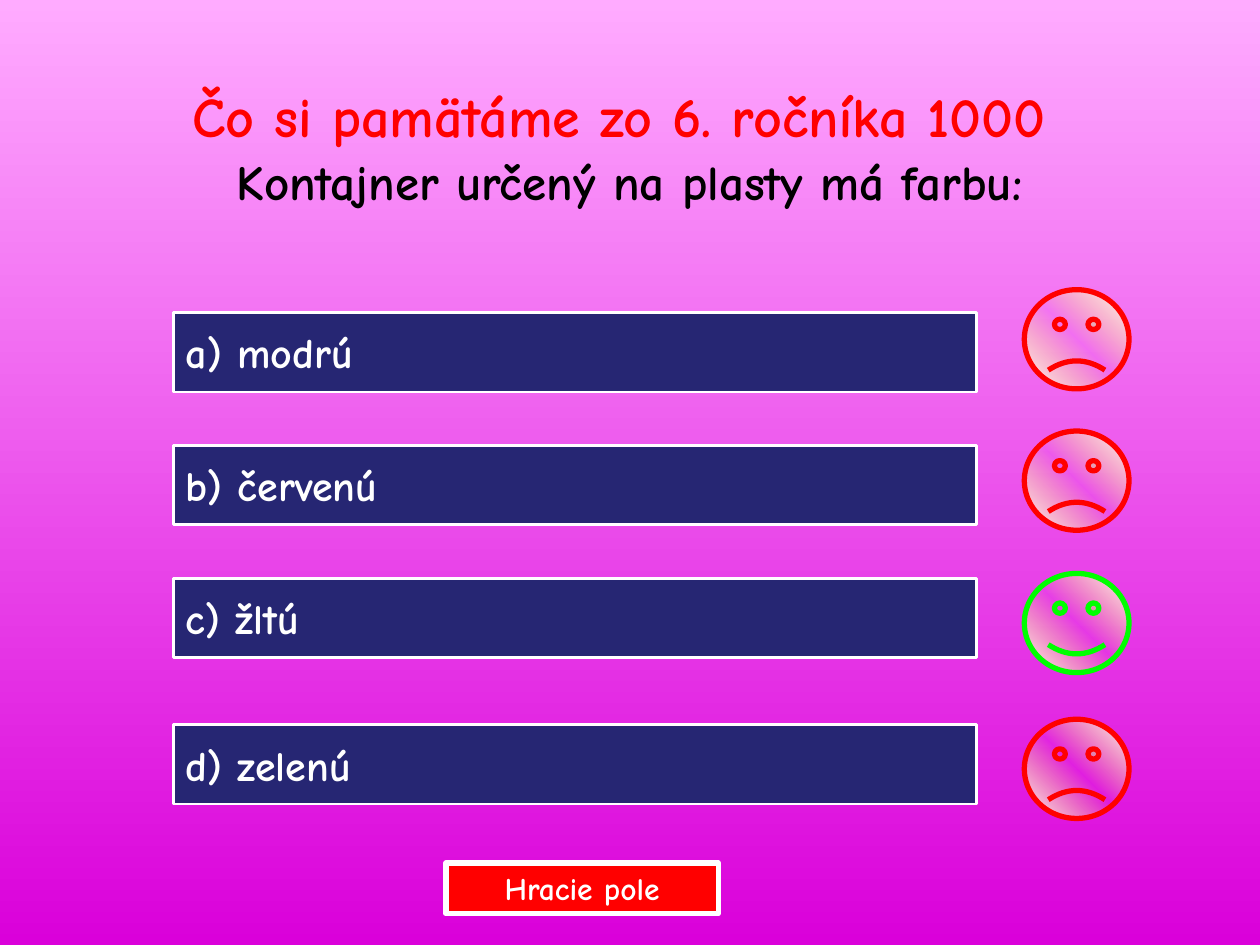
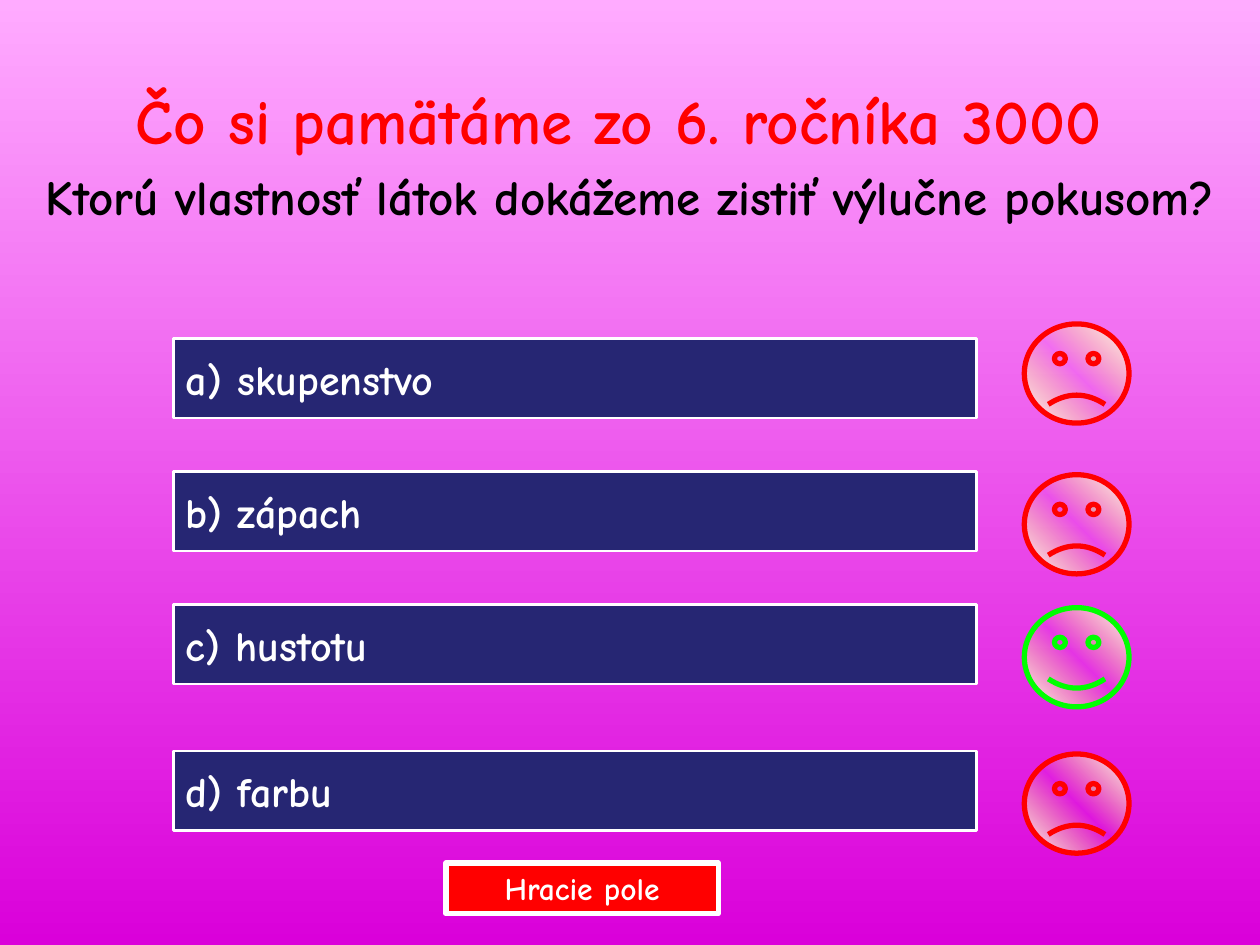
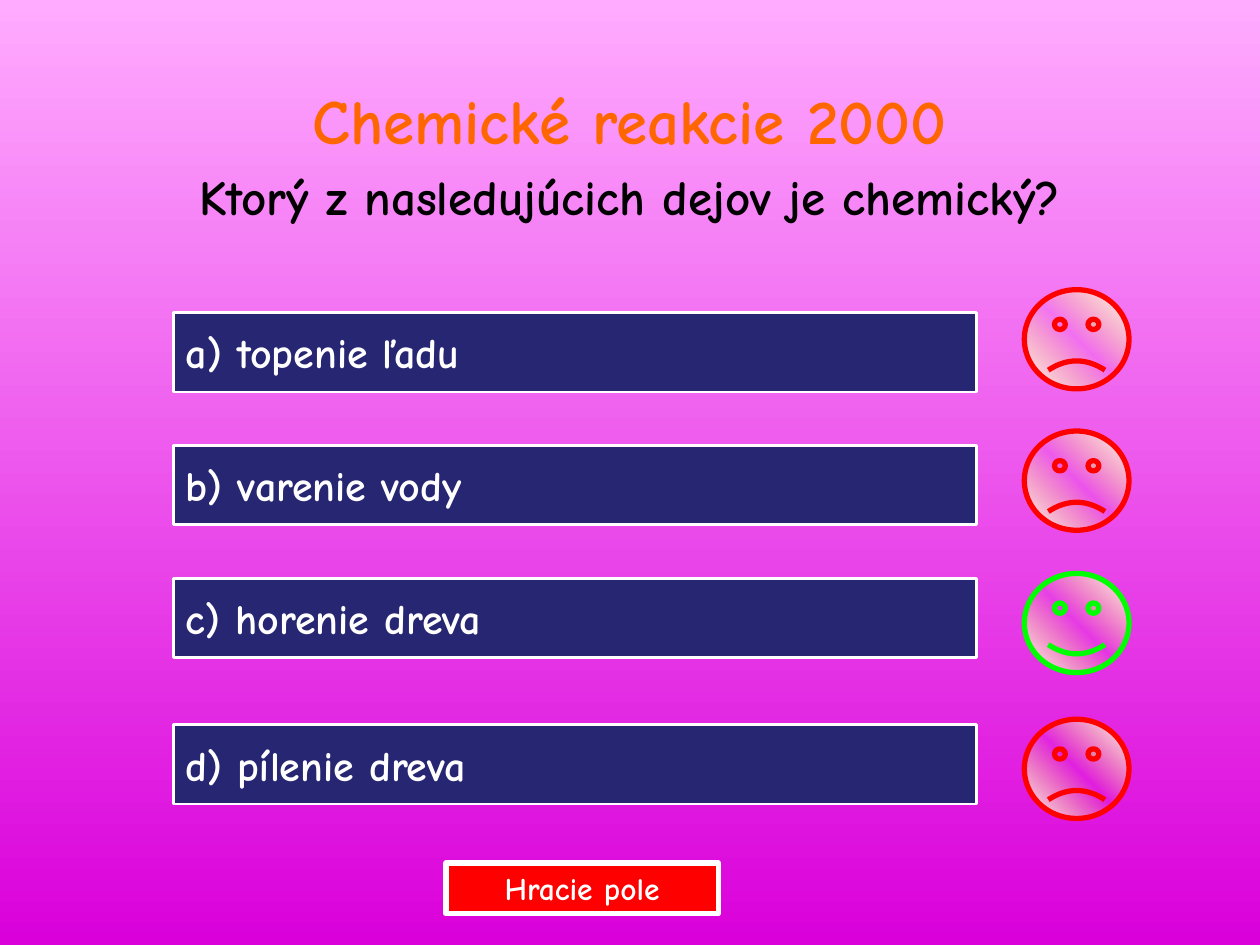
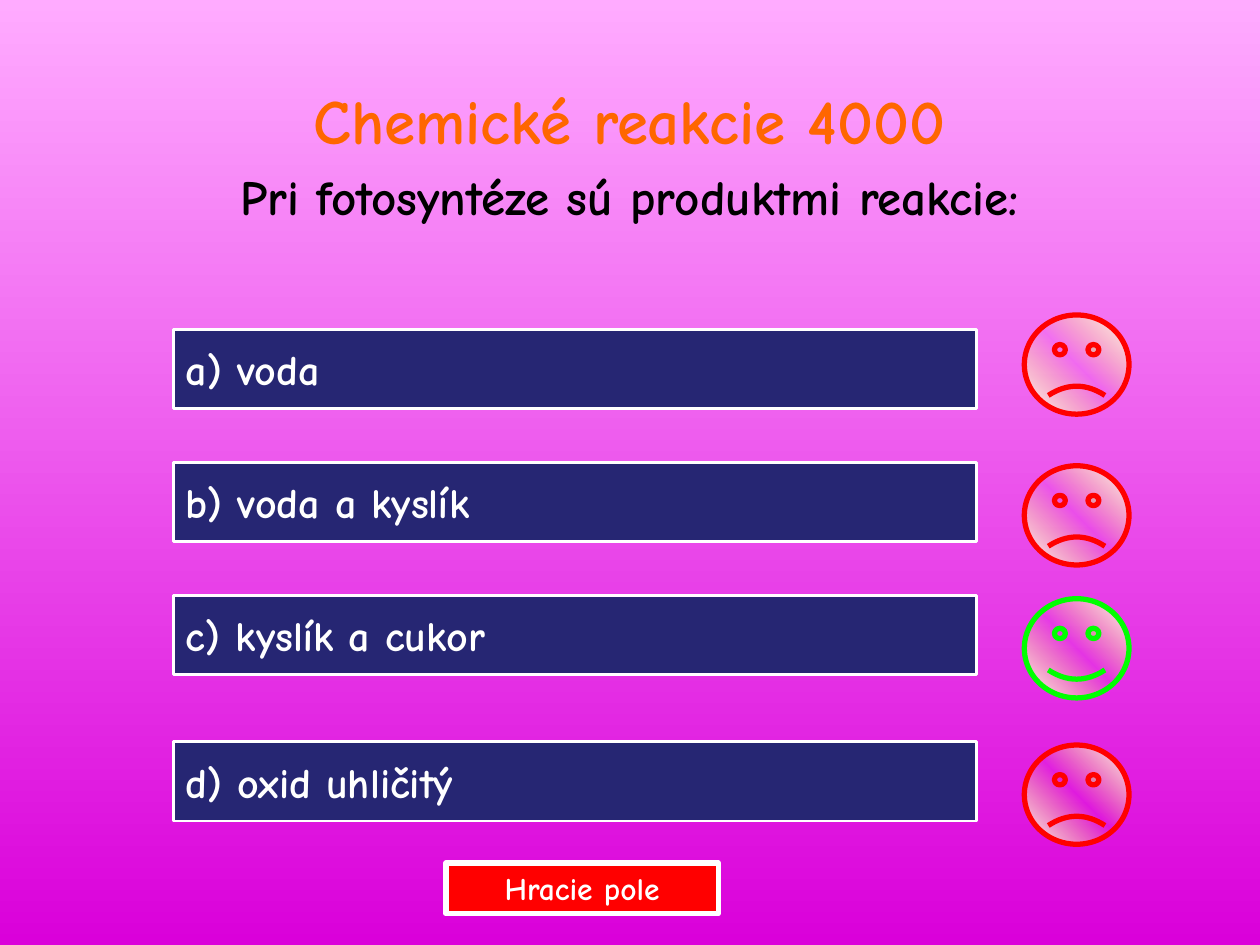
from copy import deepcopy
from dataclasses import dataclass

from lxml.etree import SubElement
from pptx import Presentation
from pptx.dml.color import RGBColor
from pptx.enum.shapes import MSO_SHAPE as Preset
from pptx.enum.text import MSO_ANCHOR as Anchor, PP_ALIGN as Align
from pptx.oxml.ns import qn
from pptx.shapes.autoshape import Shape
from pptx.slide import Slide
from pptx.text.text import _Paragraph as Paragraph
from pptx.util import Cm, Pt

WHITE = RGBColor(0xFF, 0xFF, 0xFF)
BLACK = RGBColor(0x00, 0x00, 0x00)
RED = RGBColor(0xFF, 0x00, 0x00)
GREEN = RGBColor(0x00, 0xFF, 0x00)
ORANGE = RGBColor(0xFF, 0x66, 0x00)
NAVY = RGBColor(0x26, 0x26, 0x73)
YELLOW = RGBColor(0xFF, 0xFF, 0x66)
PALE_PINK = RGBColor(0xFF, 0xAB, 0xFF)
MAGENTA = RGBColor(0xDA, 0x00, 0xDA)

FONT = "Comic Neue"
SMILE = 0.0465
ANSWER_STEPS = (0, 2.68, 5.36, 8.31)
EVEN_FACE_STEPS = (0, 2.85, 5.72, 8.66)
LOWERED_FACE_STEPS = (0, 3.04, 5.72, 8.67)


@dataclass(frozen=True)
class Box:
    """Position and size in centimetres."""

    left: float
    top: float
    width: float
    height: float

    def lengths(self) -> tuple[Cm, Cm, Cm, Cm]:
        """Return the four lengths that python-pptx expects."""
        return Cm(self.left), Cm(self.top), Cm(self.width), Cm(self.height)


@dataclass(frozen=True)
class Button:
    """Look of a button and its label."""

    fill: RGBColor
    border: float
    size: int
    align: Align


@dataclass(frozen=True)
class Question:
    """One quiz question with its answers and layout."""

    title: str
    color: RGBColor
    text: str
    answers: tuple[str, ...]
    heading: Box
    answers_top: float
    faces_top: float
    correct: int = 2
    title_size: int = 36
    text_spacing: float = 1.0
    face_steps: tuple[float, ...] = EVEN_FACE_STEPS


ANSWER = Button(NAVY, 1.5, 24, Align.LEFT)
BOARD = Button(RED, 3, 18, Align.CENTER)
BOARD_BOX = Box(8.99, 17.4, 5.49, 1.02)
REACTIONS_HEADING = Box(0.99, 1.52, 23.4, 1.9)

QUESTIONS = (
    Question(
        "Čo si pamätáme zo 6. ročníka 1000 ", RED,
        "Kontajner určený na plasty má farbu:",
        ("a) modrú", "b) červenú", "c) žltú", "d) zelenú"),
        Box(0.69, 1.52, 24, 2), 6.3, 5.84, title_size=32, text_spacing=0.9,
    ),
    Question(
        "Čo si pamätáme zo 6. ročníka 3000 ", RED,
        "Ktorú vlastnosť látok dokážeme zistiť výlučne pokusom?",
        ("a) skupenstvo", "b) zápach", "c) hustotu", "d) farbu"),
        Box(0, 1.52, 25.4, 2), 6.83, 6.53, face_steps=LOWERED_FACE_STEPS,
    ),
    Question(
        "Chemické reakcie 2000", ORANGE,
        "Ktorý z nasledujúcich dejov je chemický?",
        ("a) topenie ľadu", "b) varenie vody", "c) horenie dreva", "d) pílenie dreva"),
        REACTIONS_HEADING, 6.3, 5.84,
    ),
    Question(
        "Chemické reakcie 4000", ORANGE,
        "Pri fotosyntéze sú produktmi reakcie:",
        ("a) voda", "b) voda a kyslík", "c) kyslík a cukor", "d) oxid uhličitý"),
        REACTIONS_HEADING, 6.64, 6.35, face_steps=LOWERED_FACE_STEPS,
    ),
)


def add_run(paragraph: Paragraph, text: str, size: int, color: RGBColor, align: Align) -> None:
    """Add a bold run in the quiz font."""
    paragraph.alignment = align
    run = paragraph.add_run()
    run.text = text
    run.font.name = FONT
    run.font.size = Pt(size)
    run.font.bold = True
    run.font.color.rgb = color


def add_outlined(slide: Slide, preset: Preset, box: Box, color: RGBColor, width: float) -> Shape:
    """Add a preset shape with a plain outline and no shadow."""
    shape = slide.shapes.add_shape(preset, *box.lengths())
    shape.shadow.inherit = False
    shape.line.color.rgb = color
    shape.line.width = Pt(width)
    return shape


def add_button(slide: Slide, label: str, box: Box, button: Button) -> None:
    """Add a labelled button."""
    shape = add_outlined(slide, Preset.ACTION_BUTTON_CUSTOM, box, WHITE, button.border)
    shape.fill.solid()
    shape.fill.fore_color.rgb = button.fill
    frame = shape.text_frame
    frame.word_wrap = False
    frame.vertical_anchor = Anchor.MIDDLE
    add_run(frame.paragraphs[0], label, button.size, WHITE, button.align)


def add_face(slide: Slide, box: Box, happy: bool) -> None:
    """Add a smiling or frowning face that is clear along its diagonal."""
    shape = add_outlined(slide, Preset.SMILEY_FACE, box, GREEN if happy else RED, 3)
    shape.adjustments[0] = SMILE if happy else -SMILE
    shape.fill.gradient()
    shape.fill.gradient_angle = 45
    for stop in shape.fill.gradient_stops:
        stop.color.rgb = WHITE
    stops = shape.element.spPr.find(".//" + qn("a:gsLst"))
    middle = deepcopy(stops[0])
    middle.set("pos", "50000")
    middle[0].set("val", str(YELLOW))
    SubElement(middle[0], qn("a:alpha"), val="0")
    stops.insert(1, middle)


def add_heading(slide: Slide, question: Question) -> None:
    """Add the category title and the question below it."""
    frame = slide.shapes.add_textbox(*question.heading.lengths()).text_frame
    frame.word_wrap = True
    add_run(frame.paragraphs[0], question.title, question.title_size, question.color, Align.CENTER)
    paragraph = frame.add_paragraph()
    paragraph.space_before = Pt(5.6)
    paragraph.line_spacing = question.text_spacing
    add_run(paragraph, question.text, 28, BLACK, Align.CENTER)


def add_question(slide: Slide, question: Question) -> None:
    """Draw one question slide."""
    add_heading(slide, question)
    rows = zip(question.answers, ANSWER_STEPS, question.face_steps)
    for index, (answer, answer_step, face_step) in enumerate(rows):
        add_button(slide, answer, Box(3.5, question.answers_top + answer_step, 16.19, 1.6), ANSWER)
        face_box = Box(20.65, question.faces_top + face_step, 2.11, 2)
        add_face(slide, face_box, index == question.correct)
    add_button(slide, "Hracie pole", BOARD_BOX, BOARD)


def main() -> None:
    """Build the quiz."""
    presentation = Presentation()
    presentation.slide_width = Cm(25.4)
    presentation.slide_height = Cm(19.05)
    background = presentation.slide_master.background.fill
    background.gradient()
    background.gradient_angle = 270
    for stop, color in zip(background.gradient_stops, (PALE_PINK, MAGENTA)):
        stop.color.rgb = color
    for question in QUESTIONS:
        add_question(presentation.slides.add_slide(presentation.slide_layouts[6]), question)
    presentation.save("out.pptx")


if __name__ == "__main__":
    main()
